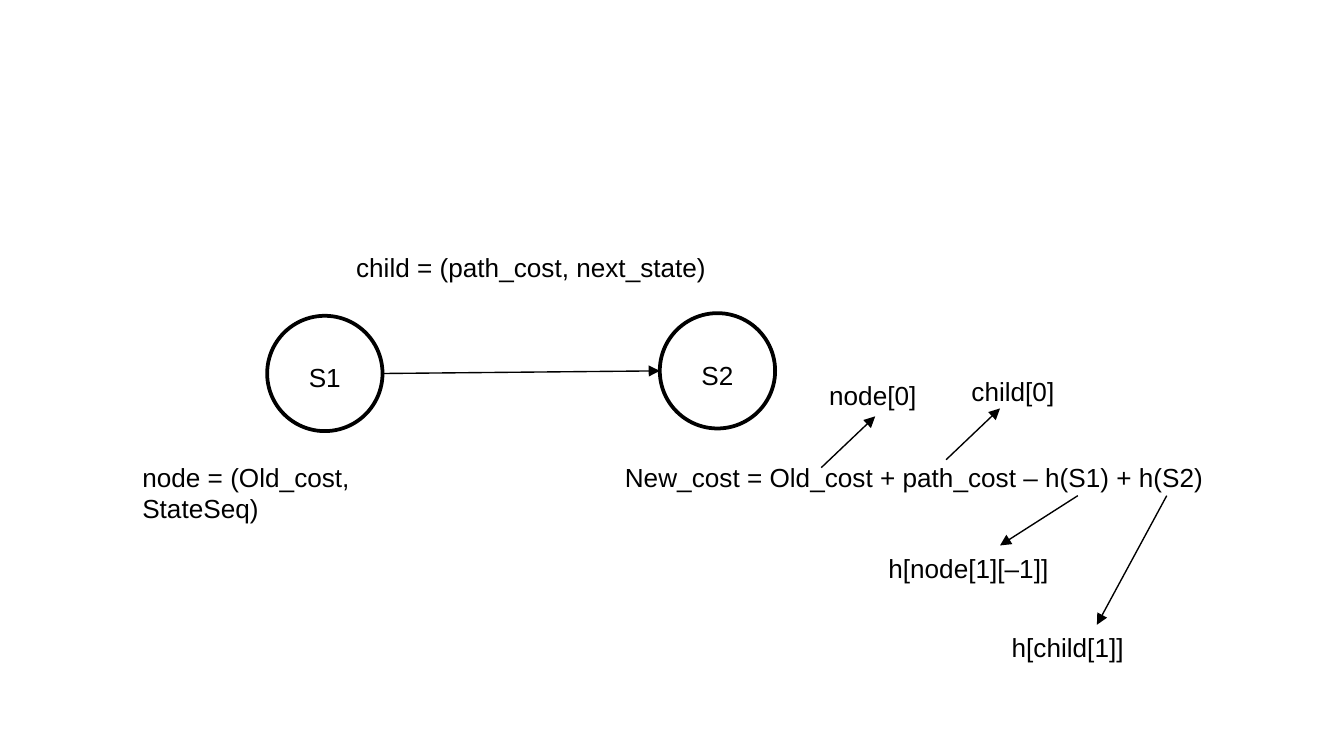
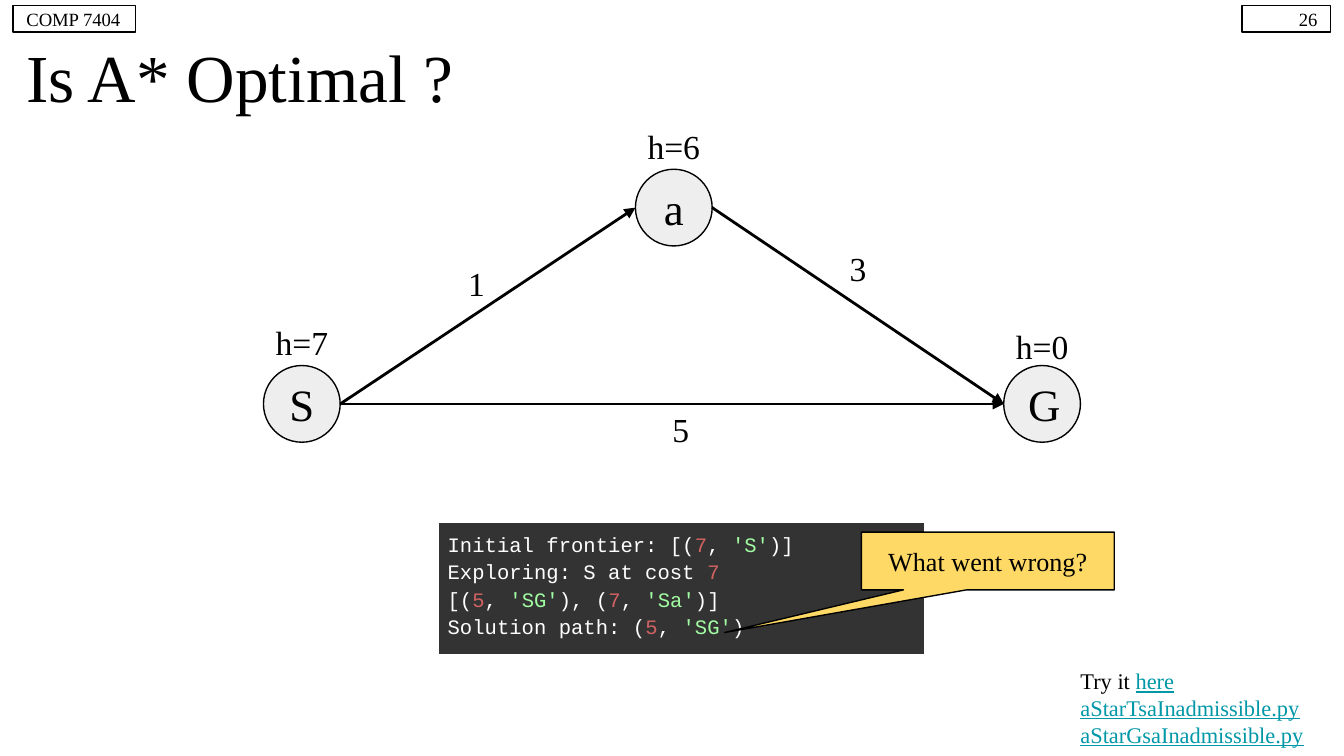
"""Build two slides on A* search: how the path cost updates, and whether A* is optimal."""
from lxml import etree
from pptx import Presentation
from pptx.dml.color import RGBColor
from pptx.enum.shapes import MSO_CONNECTOR, MSO_SHAPE
from pptx.enum.text import MSO_ANCHOR, MSO_AUTO_SIZE, PP_ALIGN
from pptx.oxml.ns import qn
from pptx.util import Cm, Pt

LEFT, CENTER, RIGHT = PP_ALIGN.LEFT, PP_ALIGN.CENTER, PP_ALIGN.RIGHT
TOP, MIDDLE = MSO_ANCHOR.TOP, MSO_ANCHOR.MIDDLE
GROW = MSO_AUTO_SIZE.SHAPE_TO_FIT_TEXT
STRAIGHT = MSO_CONNECTOR.STRAIGHT
OVAL, RECTANGLE = MSO_SHAPE.OVAL, MSO_SHAPE.RECTANGLE
CALLOUT = MSO_SHAPE.ROUNDED_RECTANGULAR_CALLOUT

COLORS = {
    "ink": "000000", "node": "EEEEEE", "link": "0097A7", "callout": "FFD966",
    "code": "333333", "plain": "FFFFFF", "number": "D36363", "string": "A2FCA2",
}
SANS, SERIF, MONO = "Arial", "Times New Roman", "Courier New"

STATE_SIZE = 2.18
STATES = [("S1", 5.05, 5.97), ("S2", 12.47, 5.92)]
LABEL_WIDTH, LABEL_HEIGHT, LABEL_DROP = 1.4, 0.86, 0.74
NOTES = [
    ("node = (Old_cost, StateSeq)", 2.44, 8.59, 6.7),
    ("child = (path_cost, next_state)", 6.48, 4.62, 7.19),
    ("New_cost = Old_cost + path_cost – h(S1) + h(S2)", 11.56, 8.59, 12.17),
    ("node[0]", 15.42, 7.04, 2.24),
    ("child[0]", 18.11, 6.96, 2.24),
    ("h[node[1][–1]]", 16.54, 10.31, 3.71),
    ("h[child[1]]", 18.87, 11.81, 3.71),
]
POINTERS = [
    ((15.52, 8.84), (16.54, 7.87)),
    ((17.88, 8.69), (18.9, 7.72)),
    ((20.37, 9.37), (18.9, 10.31)),
    ((22.05, 9.37), (20.73, 11.81)),
]

TITLE = "Is A* Optimal ?"
HEADERS = [("26", 23.47, 1.68, RIGHT), ("COMP 7404", 0.25, 2.31, LEFT)]
NODE_SIZE = 1.45
NODES = {"S": (4.98, 6.91), "a": (12.01, 3.2), "G": (18.97, 6.91)}
HEURISTICS = [("S", "h=7", 6.02), ("a", "h=6", 2.31), ("G", "h=0", 6.1)]
HEURISTIC_WIDTH, HEURISTIC_HEIGHT = 1.54, 0.89
EDGES = [
    ("S", "a", "1", (8.28, 4.62)),
    ("S", "G", "5", (12.14, 7.39)),
    ("a", "G", "3", (15.49, 4.34)),
]
OUTPUT = [
    [("Initial frontier: [(", "plain"), ("7", "number"), (", ", "plain"),
     ("'S'", "string"), (")]", "plain")],
    [("Exploring: S at cost ", "plain"), ("7", "number")],
    [("[(", "plain"), ("5", "number"), (", ", "plain"), ("'SG'", "string"),
     ("), (", "plain"), ("7", "number"), (", ", "plain"), ("'Sa'", "string"),
     (")]", "plain")],
    [("Solution path: (", "plain"), ("5", "number"), (", ", "plain"),
     ("'SG'", "string"), (")", "plain")],
]
QUESTION = "What went wrong?"
RESOURCES = [
    [("Try it ", "ink"), ("here", "link")],
    [("aStarTsaInadmissible.py", "link")],
    [("aStarGsaInadmissible.py", "link")],
]


def rgb(name):
    return RGBColor.from_string(COLORS[name])


def lengths(*values):
    return [Cm(value) for value in values]


def add_span(para, text, font, size, color="ink"):
    span = para.add_run()
    span.text = text
    span.font.name = font
    span.font.size = Pt(size)
    span.font.color.rgb = rgb(color)
    span.font.underline = True if color == "link" else None


def fill_frame(frame, paras, font, size, align=LEFT, anchor=MIDDLE, inset=0.25):
    frame.word_wrap = True
    frame.vertical_anchor = anchor
    frame.margin_left = frame.margin_right = Cm(0.25)
    frame.margin_top = frame.margin_bottom = Cm(inset)
    for index, spans in enumerate(paras):
        para = frame.add_paragraph() if index else frame.paragraphs[0]
        para.alignment = align
        for text, color in spans:
            add_span(para, text, font, size, color)


def add_text(page, text, place, size, align=LEFT):
    box = page.shapes.add_textbox(*lengths(*place))
    fill_frame(box.text_frame, [[(text, "ink")]], SERIF, size, align)


def add_note(page, text, place, align=LEFT):
    box = page.shapes.add_textbox(*lengths(*place))
    fill_frame(box.text_frame, [[(text, "ink")]], SANS, 14, align, TOP, 0.13)
    box.text_frame.auto_size = GROW


def add_outline(page, kind, place, fill=None, weight=0.75):
    shape = page.shapes.add_shape(kind, *lengths(*place))
    shape.shadow.inherit = False
    if fill:
        shape.fill.solid()
        shape.fill.fore_color.rgb = rgb(fill)
    else:
        shape.fill.background()
    shape.line.color.rgb = rgb("ink")
    shape.line.width = Pt(weight)
    return shape


def add_arrow(page, start, end, weight):
    arrow = page.shapes.add_connector(STRAIGHT, *lengths(*start, *end))
    arrow.line.color.rgb = rgb("ink")
    arrow.line.width = Pt(weight)
    etree.SubElement(arrow.line._get_or_add_ln(), qn("a:tailEnd"), type="triangle")
    etree.SubElement(arrow._element.spPr, qn("a:effectLst"))


def build_cost_update(page):
    for name, left, top in STATES:
        add_outline(page, OVAL, (left, top, STATE_SIZE, STATE_SIZE), weight=2)
        label_left = left + (STATE_SIZE - LABEL_WIDTH) / 2
        add_note(page, name, (label_left, top + LABEL_DROP, LABEL_WIDTH, LABEL_HEIGHT), CENTER)
    (_, left, top), (_, next_left, next_top) = STATES
    radius = STATE_SIZE / 2
    step = ((left + STATE_SIZE, top + radius), (next_left, next_top + radius))
    for text, left, top, width in NOTES:
        add_note(page, text, (left, top, width, LABEL_HEIGHT))
    for start, end in [step, *POINTERS]:
        add_arrow(page, start, end, 0.75)


def add_output_table(page):
    table = page.shapes.add_table(1, 1, *lengths(8.28, 9.88, 9.19, 2.46)).table
    table.first_row = table.horz_banding = False
    cell = table.cell(0, 0)
    cell.fill.solid()
    cell.fill.fore_color.rgb = rgb("code")
    cell.margin_left = cell.margin_right = cell.margin_top = cell.margin_bottom = Cm(0.18)
    para = cell.text_frame.paragraphs[0]
    para.line_spacing = 1.15
    for index, spans in enumerate(OUTPUT):
        if index:
            para.add_line_break()
        for text, color in spans:
            add_span(para, text, MONO, 11, color)


def build_optimality(page):
    add_text(page, TITLE, (0.25, 0.71, 24.89, 1.45), 36)
    for text, left, width, align in HEADERS:
        header = add_outline(page, RECTANGLE, (left, 0.1, width, 0.51))
        fill_frame(header.text_frame, [[(text, "ink")]], SERIF, 10, align)
    for name, (left, top) in NODES.items():
        node = add_outline(page, OVAL, (left, top, NODE_SIZE, NODE_SIZE), "node")
        fill_frame(node.text_frame, [[(name, "ink")]], SERIF, 24, CENTER)
    radius = NODE_SIZE / 2
    for source, target, cost, (left, top) in EDGES:
        source_left, source_top = NODES[source]
        target_left, target_top = NODES[target]
        add_arrow(page, (source_left + NODE_SIZE, source_top + radius),
                  (target_left, target_top + radius), 1.5)
        add_text(page, cost, (left, top, NODE_SIZE, NODE_SIZE), 18, CENTER)
    for name, text, top in HEURISTICS:
        left = NODES[name][0] + (NODE_SIZE - HEURISTIC_WIDTH) / 2
        add_text(page, text, (left, top, HEURISTIC_WIDTH, HEURISTIC_HEIGHT), 18, CENTER)
    add_output_table(page)
    box = page.shapes.add_textbox(*lengths(20.17, 12.47, 5.23, 1.8))
    fill_frame(box.text_frame, RESOURCES, SERIF, 12)
    callout = add_outline(page, CALLOUT, (16.28, 10.06, 4.78, 1.09), "callout")
    for index, value in enumerate((-1.04, 1.24, 0)):
        callout.adjustments[index] = value
    fill_frame(callout.text_frame, [[(QUESTION, "ink")]], SERIF, 14, CENTER)


def main():
    deck = Presentation()
    deck.slide_width, deck.slide_height = lengths(25.4, 14.29)
    blank = deck.slide_layouts[6]
    for build in (build_cost_update, build_optimality):
        build(deck.slides.add_slide(blank))
    deck.save("out.pptx")


if __name__ == "__main__":
    main()
